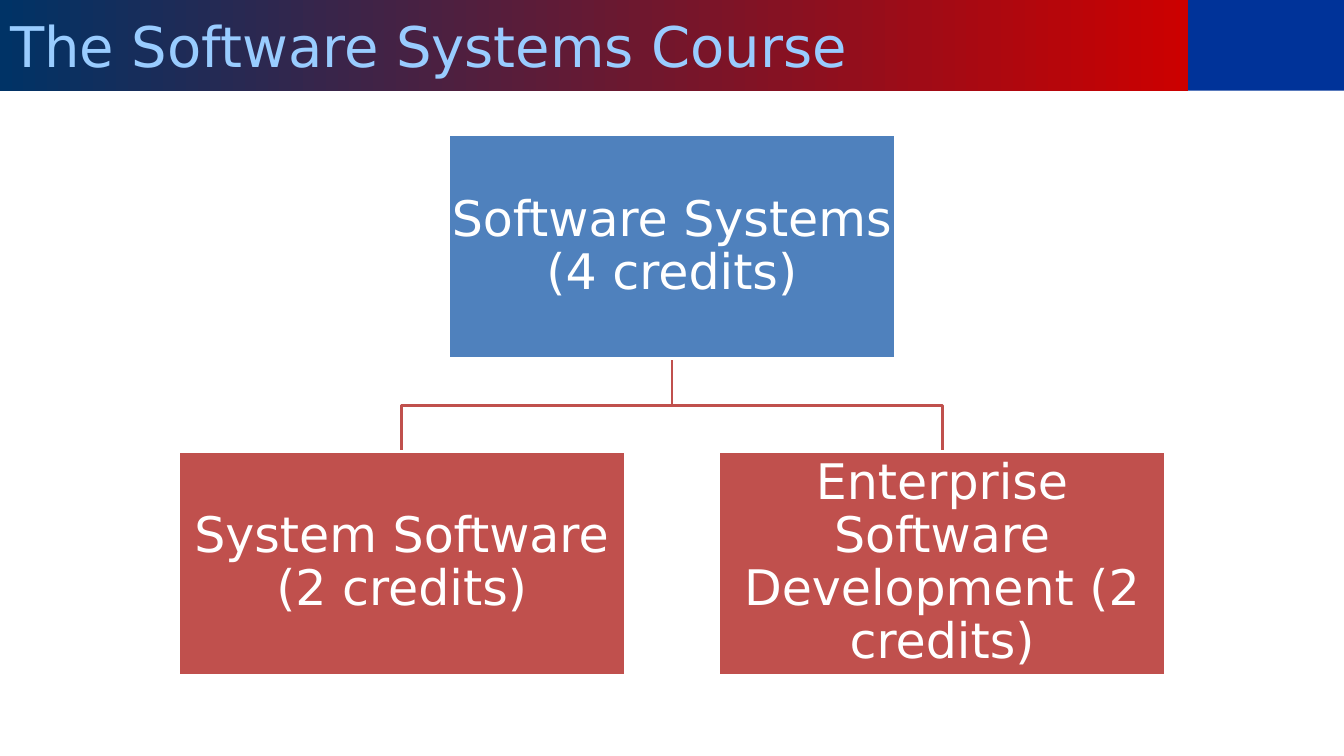
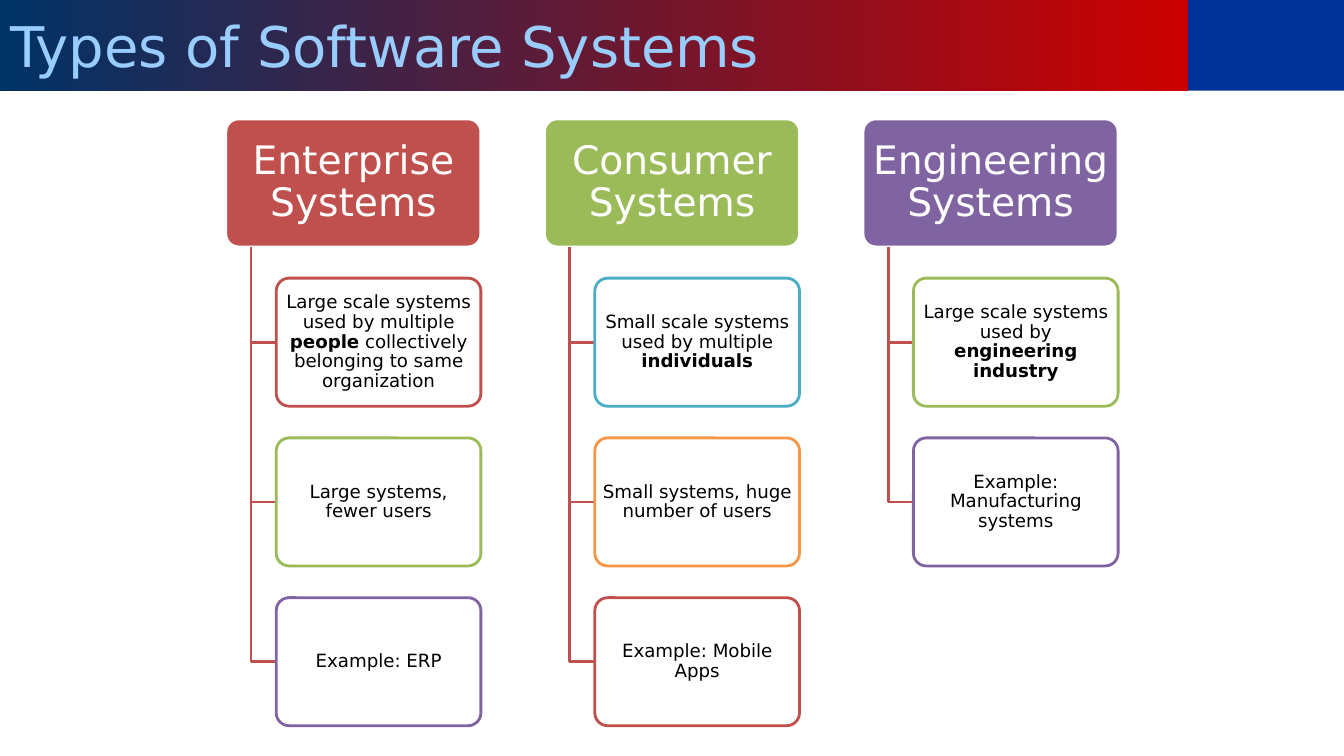
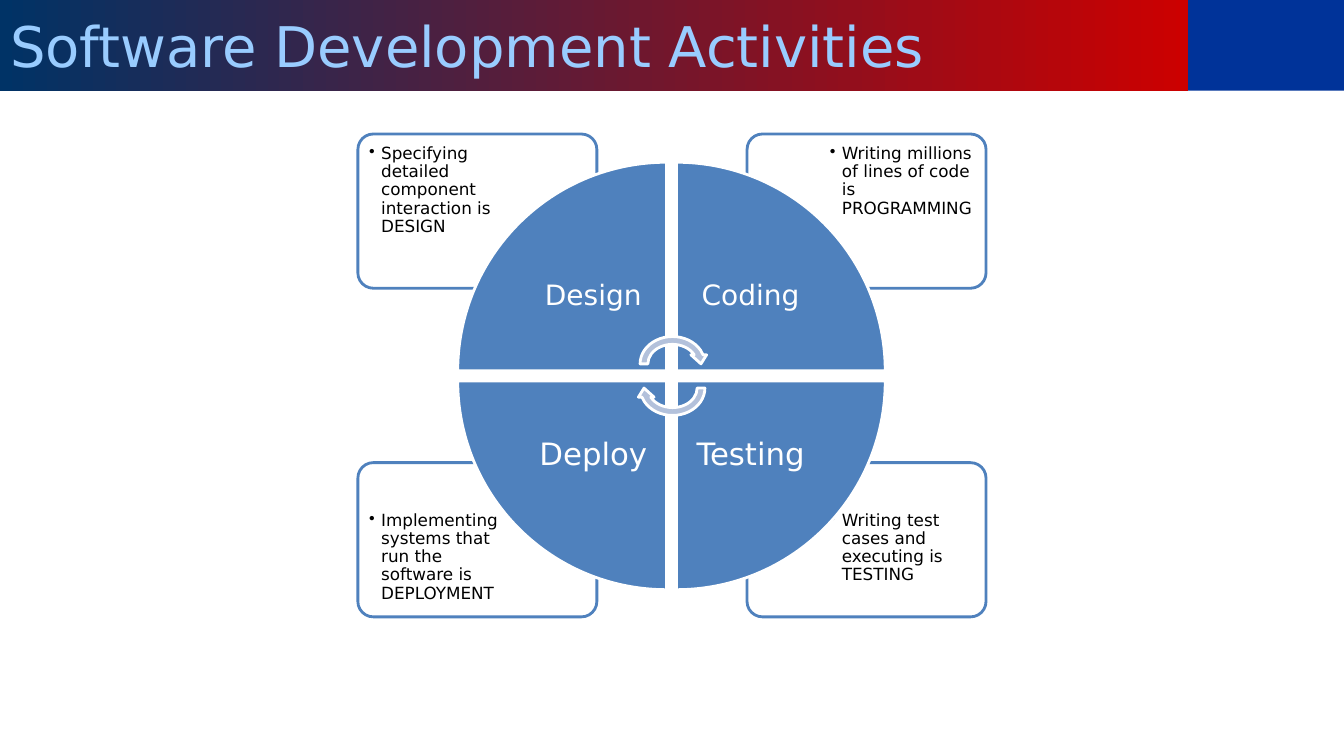
from dataclasses import dataclass

from lxml.etree import SubElement
from pptx import Presentation
from pptx.dml.color import RGBColor
from pptx.enum.shapes import MSO_SHAPE as Shape
from pptx.enum.text import MSO_ANCHOR as Anchor, MSO_AUTO_SIZE as AutoSize, PP_ALIGN as Align
from pptx.oxml.ns import qn
from pptx.util import Inches, Pt


@dataclass(frozen=True)
class Theme:
    """Colours, type sizes and line width of the deck."""
    font: str = "DejaVu Sans"
    white: str = "FFFFFF"
    black: str = "000000"
    band: str = "003399"
    title: str = "99CCFF"
    title_fill: tuple = ("003366", "CC0000")
    blue: str = "4F81BD"
    red: str = "C0504D"
    green: str = "9BBB59"
    purple: str = "8064A2"
    aqua: str = "4BACC6"
    orange: str = "F79646"
    arrow: str = "B3C1DB"
    title_size: int = 40
    chart_size: int = 35
    heading_size: int = 28
    card_size: int = 13
    note_size: int = 12
    line_width: int = 2
    corner: float = 0.1


THEME = Theme()
SLIDE_WIDTH, SLIDE_HEIGHT = 13.33, 7.5
TITLE_WIDTH, TITLE_HEIGHT = 11.78, 0.9


def rgb(value):
    """Return the colour for a hex value."""
    return RGBColor.from_string(value)


def place(shape, left, top, width, height):
    """Move and size a shape, in inches."""
    shape.left, shape.top = Inches(left), Inches(top)
    shape.width, shape.height = Inches(width), Inches(height)


def write(frame, text, size, color=THEME.white, align=Align.CENTER, anchor=Anchor.MIDDLE,
          inset=(0.1, 0.05), spacing=0.9, bullet_indent=None):
    """Write one paragraph into a frame; parts between ** marks are bold."""
    frame.word_wrap = True
    frame.auto_size = AutoSize.NONE
    frame.vertical_anchor = anchor
    frame.margin_left = frame.margin_right = Inches(inset[0])
    frame.margin_top = frame.margin_bottom = Inches(inset[1])
    para = frame.paragraphs[0]
    para.alignment = align
    para.line_spacing = spacing
    for index, part in enumerate(text.split("**")):
        if part:
            span = para.add_run()
            span.text = part
            span.font.name = THEME.font
            span.font.size = Pt(size)
            span.font.bold = index % 2 == 1
            span.font.color.rgb = rgb(color)
    if bullet_indent:
        properties = para._p.get_or_add_pPr()
        properties.set("marL", str(Inches(bullet_indent)))
        properties.set("indent", str(-Inches(bullet_indent)))
        SubElement(properties, qn("a:buChar")).set("char", "•")


class Builder:
    """Holds the theme, the deck and the current slide."""

    def __init__(self, theme):
        """Start a deck with an empty title layout."""
        self.theme = theme
        self.deck = Presentation()
        self.deck.slide_width = Inches(SLIDE_WIDTH)
        self.deck.slide_height = Inches(SLIDE_HEIGHT)
        self.layout = self.deck.slide_layouts.get_by_name("Title Only")
        self.page = None

    def new_page(self, title):
        """Add a slide with its title; the first one also sets up the layout band."""
        first = self.page is None
        self.page = self.deck.slides.add_slide(self.layout)
        if first:
            band = self.box(TITLE_WIDTH, 0, SLIDE_WIDTH - TITLE_WIDTH, TITLE_HEIGHT,
                            fill=self.theme.band)
            self.layout.shapes.element.insert(2, band.element)
        heading = self.page.shapes.title
        place(heading, 0, 0, TITLE_WIDTH, TITLE_HEIGHT)
        heading.fill.gradient()
        heading.fill.gradient_angle = 0
        for stop, color in zip(heading.fill.gradient_stops, self.theme.title_fill):
            stop.color.rgb = rgb(color)
        write(heading.text_frame, title, self.theme.title_size, self.theme.title,
              align=Align.LEFT, spacing=1.0)

    def box(self, left, top, width, height, kind=Shape.RECTANGLE, fill=THEME.white,
            line=None, rotation=0):
        """Add a filled preset shape."""
        shape = self.page.shapes.add_shape(kind, 0, 0, 0, 0)
        place(shape, left, top, width, height)
        shape.rotation = rotation
        shape.shadow.inherit = False
        shape.fill.solid()
        shape.fill.fore_color.rgb = rgb(fill)
        if line:
            shape.line.color.rgb = rgb(line)
            shape.line.width = Pt(self.theme.line_width)
        else:
            shape.line.fill.background()
        if kind == Shape.ROUNDED_RECTANGLE:
            shape.adjustments[0] = self.theme.corner
        return shape

    def label(self, left, top, width, height, text, size, **text_format):
        """Add a text box."""
        box = self.page.shapes.add_textbox(*map(Inches, (left, top, width, height)))
        write(box.text_frame, text, size, **text_format)

    def branch(self, *points):
        """Add an open right-angled line through the points."""
        start, *rest = [(Inches(x), Inches(y)) for x, y in points]
        outline = self.page.shapes.build_freeform(*start)
        outline.add_line_segments(rest, close=False)
        line = outline.convert_to_shape()
        line.shadow.inherit = False
        line.fill.background()
        line.line.color.rgb = rgb(self.theme.red)
        line.line.width = Pt(self.theme.line_width)


def course_page(builder):
    """Draw the course and its two halves."""
    theme = builder.theme
    builder.new_page("The Software Systems Course")
    width, height = 4.43, 2.22
    parent_left, parent_top, child_top = 4.45, 1.34, 4.48
    parent = (parent_left, parent_top, "Software Systems (4 credits)", theme.blue)
    children = [
        (1.77, child_top, "System Software (2 credits)", theme.red),
        (7.13, child_top, "Enterprise Software Development (2 credits)", theme.red),
    ]
    stem, bottom, bend = parent_left + width / 2, parent_top + height, 4.02
    for left, *_ in children:
        center = left + width / 2
        builder.branch((stem, bottom), (stem, bend), (center, bend), (center, child_top))
    for left, top, text, fill in [parent, *children]:
        box = builder.box(left, top, width, height, fill=fill, line=theme.white)
        write(box.text_frame, text, theme.chart_size, inset=(0.02, 0.02))


def types_page(builder):
    """Draw three columns of system types with their traits."""
    theme = builder.theme
    builder.new_page("Types of Software Systems")
    columns = [
        ("Enterprise Systems", theme.red, [
            ("Large scale systems used by multiple **people** collectively "
             "belonging to same organization", theme.red),
            ("Large systems, fewer users", theme.green),
            ("Example: ERP", theme.purple)]),
        ("Consumer Systems", theme.green, [
            ("Small scale systems used by multiple **individuals**", theme.aqua),
            ("Small systems, huge number of users", theme.orange),
            ("Example: Mobile Apps", theme.red)]),
        ("Engineering Systems", theme.purple, [
            ("Large scale systems used by **engineering industry**", theme.green),
            ("Example: Manufacturing systems", theme.purple)]),
    ]
    head_top, head_width, card_width, height = 1.18, 2.53, 2.03, 1.27
    indent = 0.25
    for column, (heading, fill, cards) in enumerate(columns):
        left = 2.24 + 3.16 * column
        head = builder.box(left, head_top, head_width, height, Shape.ROUNDED_RECTANGLE,
                           fill, theme.white)
        write(head.text_frame, heading, theme.heading_size, inset=(0.05, 0.04))
        trunk, card_left = left + indent, left + 2 * indent
        for row, (text, line) in enumerate(cards):
            top = 2.76 + 1.585 * row
            middle = top + height / 2
            builder.branch((trunk, head_top + height), (trunk, middle), (card_left, middle))
            card = builder.box(card_left, top, card_width, height,
                               Shape.ROUNDED_RECTANGLE, line=line)
            write(card.text_frame, text, theme.card_size, theme.black, inset=(0.03, 0.02))


def activities_page(builder):
    """Draw the four activities as a wheel with a note at each corner."""
    theme = builder.theme
    builder.new_page("Software Development Activities")
    # column, row, label, label size, label inset, note
    activities = [
        (0, 0, "Design", 20, 0.16, "Specifying detailed component interaction is DESIGN"),
        (1, 0, "Coding", 20, 0.16, "Writing millions of lines of code is PROGRAMMING"),
        (1, 1, "Testing", 22, 0.17, "Writing test cases and executing is TESTING"),
        (0, 1, "Deploy", 22, 0.17, "Implementing systems that run the software is DEPLOYMENT"),
    ]
    card_lefts, card_tops = (3.55, 7.41), (1.33, 4.59)
    note_lefts, note_tops = (3.59, 8.16), (1.37, 5.01)
    wedge_lefts, wedge_tops, wedge = (4.54, 6.71), (1.61, 3.78), 2.07
    label_lefts, label_tops, label = (5.15, 6.71), (2.21, 3.78), 1.47

    for column, row, *_, note in reversed(activities):
        builder.box(card_lefts[column], card_tops[row], 2.37, 1.53,
                    Shape.ROUNDED_RECTANGLE, line=theme.blue)
        builder.label(note_lefts[column], note_tops[row], 1.59, 1.08, note, theme.note_size,
                      color=theme.black, align=Align.LEFT, anchor=Anchor.TOP,
                      inset=(0.07, 0.07), bullet_indent=0.12)
    for turn, (column, row, name, size, inset, _) in enumerate(activities):
        builder.box(wedge_lefts[column], wedge_tops[row], wedge, wedge, Shape.PIE_WEDGE,
                    theme.blue, theme.white, rotation=90 * turn)
        builder.label(label_lefts[column], label_tops[row], label, label, name, size,
                      inset=(inset, inset))
    for top, rotation in ((3.3, 0), (3.54, 180)):
        builder.box(6.31, top, 0.72, 0.62, Shape.CIRCULAR_ARROW, theme.arrow, theme.white,
                    rotation)


def main():
    """Build the three slides and save the deck."""
    builder = Builder(THEME)
    course_page(builder)
    types_page(builder)
    activities_page(builder)
    builder.deck.save("out.pptx")


main()
